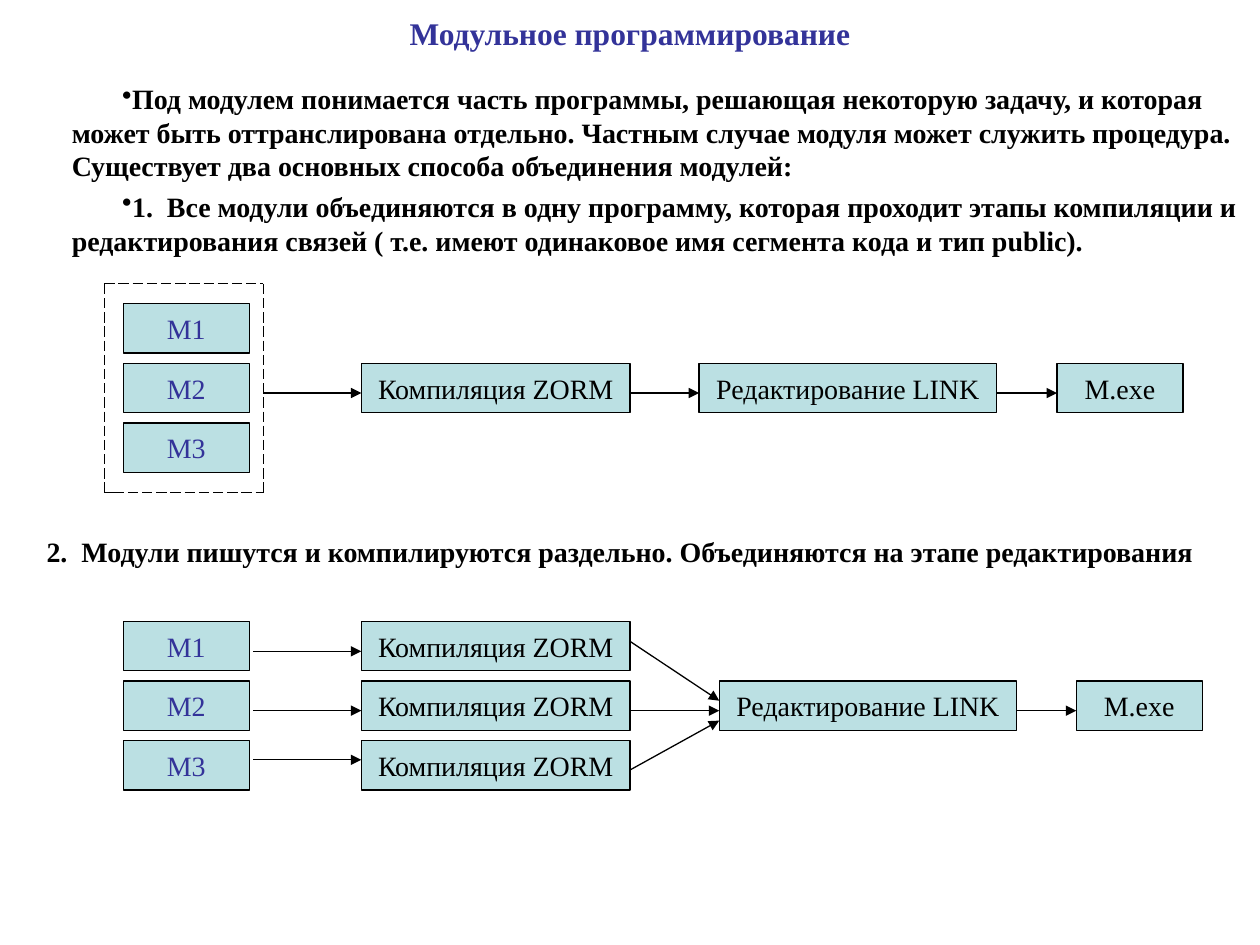
from dataclasses import dataclass

from lxml.etree import SubElement
from pptx import Presentation
from pptx.dml.color import RGBColor
from pptx.enum.dml import MSO_LINE
from pptx.enum.shapes import MSO_CONNECTOR, MSO_SHAPE
from pptx.enum.text import MSO_ANCHOR, PP_ALIGN
from pptx.oxml.ns import qn
from pptx.util import Pt


@dataclass(frozen=True)
class Theme:
    font: str = "Times New Roman"
    accent: RGBColor = RGBColor(0x33, 0x33, 0x99)
    ink: RGBColor = RGBColor(0, 0, 0)
    box: RGBColor = RGBColor(0xBB, 0xE0, 0xE3)
    paper: RGBColor = RGBColor(0xFF, 0xFF, 0xFF)
    title_size: float = 18
    text_size: float = 16
    line: float = 0.75


T = Theme()


@dataclass(frozen=True)
class Box:
    text: str
    x: float
    y: float
    w: float
    h: float = 28.3
    color: RGBColor = T.ink
    fill: RGBColor = T.box
    border: RGBColor = T.ink
    align: PP_ALIGN = PP_ALIGN.CENTER
    bold: bool = False


@dataclass(frozen=True)
class Line:
    x1: float
    y1: float
    x2: float
    y2: float
    arrow: bool = True
    dashed: bool = False


def add_run(p, text: str, size: float, color: RGBColor, bold: bool) -> None:
    r = p.add_run()
    r.text = text
    r.font.name = T.font
    r.font.size = Pt(size)
    r.font.bold = bold
    r.font.color.rgb = color


def add_title(s, text: str) -> None:
    tf = s.shapes.add_textbox(Pt(36), Pt(0), Pt(648), Pt(37.5)).text_frame
    tf.word_wrap = True
    tf.vertical_anchor = MSO_ANCHOR.MIDDLE
    p = tf.paragraphs[0]
    p.alignment = PP_ALIGN.CENTER
    add_run(p, text, T.title_size, T.accent, True)


def add_body(s, texts: list[str]) -> None:
    tf = s.shapes.add_textbox(Pt(0), Pt(43.2), Pt(720), Pt(496.8)).text_frame
    tf.word_wrap = True
    for i, text in enumerate(texts):
        p = tf.add_paragraph() if i else tf.paragraphs[0]
        p.space_before = Pt(4)
        pPr = p._p.get_or_add_pPr()
        pPr.set("marL", str(Pt(34)))
        pPr.set("indent", str(Pt(28.8)))
        SubElement(pPr, qn("a:buChar")).set("char", "•")
        add_run(p, text, T.text_size, T.ink, True)


def add_box(s, b: Box) -> None:
    sp = s.shapes.add_shape(MSO_SHAPE.RECTANGLE, Pt(b.x), Pt(b.y), Pt(b.w), Pt(b.h))
    sp.shadow.inherit = False
    sp.fill.solid()
    sp.fill.fore_color.rgb = b.fill
    sp.line.color.rgb = b.border
    sp.line.width = Pt(T.line)
    tf = sp.text_frame
    tf.word_wrap = False
    tf.vertical_anchor = MSO_ANCHOR.MIDDLE
    p = tf.paragraphs[0]
    p.alignment = b.align
    add_run(p, b.text, T.text_size, b.color, b.bold)


def add_line(s, ln: Line) -> None:
    c = s.shapes.add_connector(MSO_CONNECTOR.STRAIGHT, Pt(ln.x1), Pt(ln.y1), Pt(ln.x2), Pt(ln.y2))
    c.line.color.rgb = T.ink
    c.line.width = Pt(T.line)
    if ln.dashed:
        c.line.dash_style = MSO_LINE.LONG_DASH
    if ln.arrow:
        SubElement(c.line._get_or_add_ln(), qn("a:tailEnd")).set("type", "triangle")
    SubElement(c._element.spPr, qn("a:effectLst"))


# Column positions and widths, row pitch
MODULE_X, COMPILE_X = 70.5, 206.5
SMALL_W, COMPILE_W, LINK_W = 72, 153.5, 170
COMPILE_END = COMPILE_X + COMPILE_W
PITCH = 34.1
COMPILE, LINK, EXE = "Компиляция ZORM", "Редактирование LINK", "M.exe"


def module_boxes(top: float) -> list[Box]:
    return [Box(f"M{i + 1}", MODULE_X, top + i * PITCH, SMALL_W, color=T.accent) for i in range(3)]


def output_boxes(link_x: float, exe_x: float, y: float) -> list[Box]:
    return [Box(LINK, link_x, y, LINK_W), Box(EXE, exe_x, y, SMALL_W)]


def joint_build() -> tuple[list[Box], list[Line]]:
    top, link_x, exe_x = 173.5, 399.5, 604
    mid = top + PITCH
    boxes = module_boxes(top) + [Box(COMPILE, COMPILE_X, mid, COMPILE_W)]
    boxes += output_boxes(link_x, exe_x, mid)
    # Dashed frame round the modules, with a short solid corner
    left, right, up, down, corner = 59.6, 150.4, 162.2, 281.5, 65
    frame = [(left, up, left, down), (corner, down, right, down),
             (left, up, right, up), (right, up, right, down)]
    lines = [Line(*ends, arrow=False, dashed=True) for ends in frame]
    lines.append(Line(left, down, corner, down, arrow=False))
    # Arrows along the chain
    steps = [(right, COMPILE_X), (COMPILE_END, link_x), (link_x + LINK_W, exe_x)]
    lines += [Line(a, 224.6, b, 224.6) for a, b in steps]
    return boxes, lines


def separate_build() -> tuple[list[Box], list[Line]]:
    top, link_x, exe_x, axis = 355, 411, 615, 406.1
    boxes = module_boxes(top)
    boxes += [Box(COMPILE, COMPILE_X, top + i * PITCH, COMPILE_W) for i in range(3)]
    boxes += output_boxes(link_x, exe_x, top + PITCH)
    # Module to compiler, compiler to linker, linker to program
    lines = [Line(144.7, y, COMPILE_X, y) for y in (372.2, axis, 434.2)]
    lines += [Line(COMPILE_END, axis + d, link_x, axis + e)
              for d, e in ((-39.6, -5.7), (0, 0), (33.9, 5.7))]
    lines.append(Line(link_x + LINK_W, axis, exe_x, axis))
    return boxes, lines


def main() -> None:
    prs = Presentation()
    prs.slide_width, prs.slide_height = Pt(720), Pt(540)
    s = prs.slides.add_slide(prs.slide_layouts[6])

    # Heading and introduction
    add_title(s, "Модульное программирование")
    add_body(s, [
        "Под модулем понимается часть программы, решающая некоторую задачу, и которая "
        "может быть оттранслирована отдельно. Частным случае модуля может служить процедура. "
        "Существует два основных способа объединения модулей:",
        "1.  Все модули объединяются в одну программу, которая проходит этапы компиляции и "
        "редактирования связей ( т.е. имеют одинаковое имя сегмента кода и тип public).",
    ])

    # The two ways of building
    for boxes, lines in (joint_build(), separate_build()):
        for b in boxes:
            add_box(s, b)
        for ln in lines:
            add_line(s, ln)

    # Caption of the second way
    add_box(s, Box("2.  Модули пишутся и компилируются раздельно. Объединяются на этапе редактирования",
                   19.5, 298.3, 680.5, 34, fill=T.paper, border=T.paper,
                   align=PP_ALIGN.LEFT, bold=True))
    prs.save("out.pptx")


if __name__ == "__main__":
    main()
